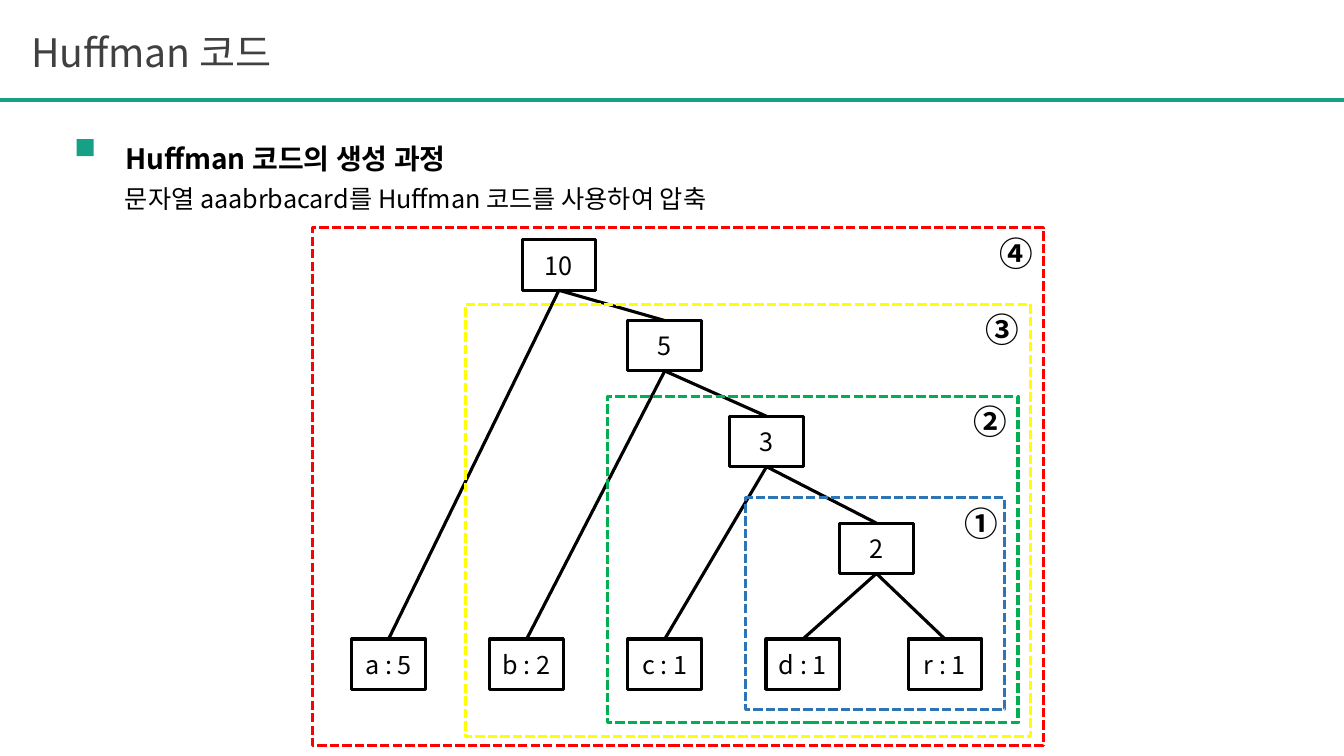
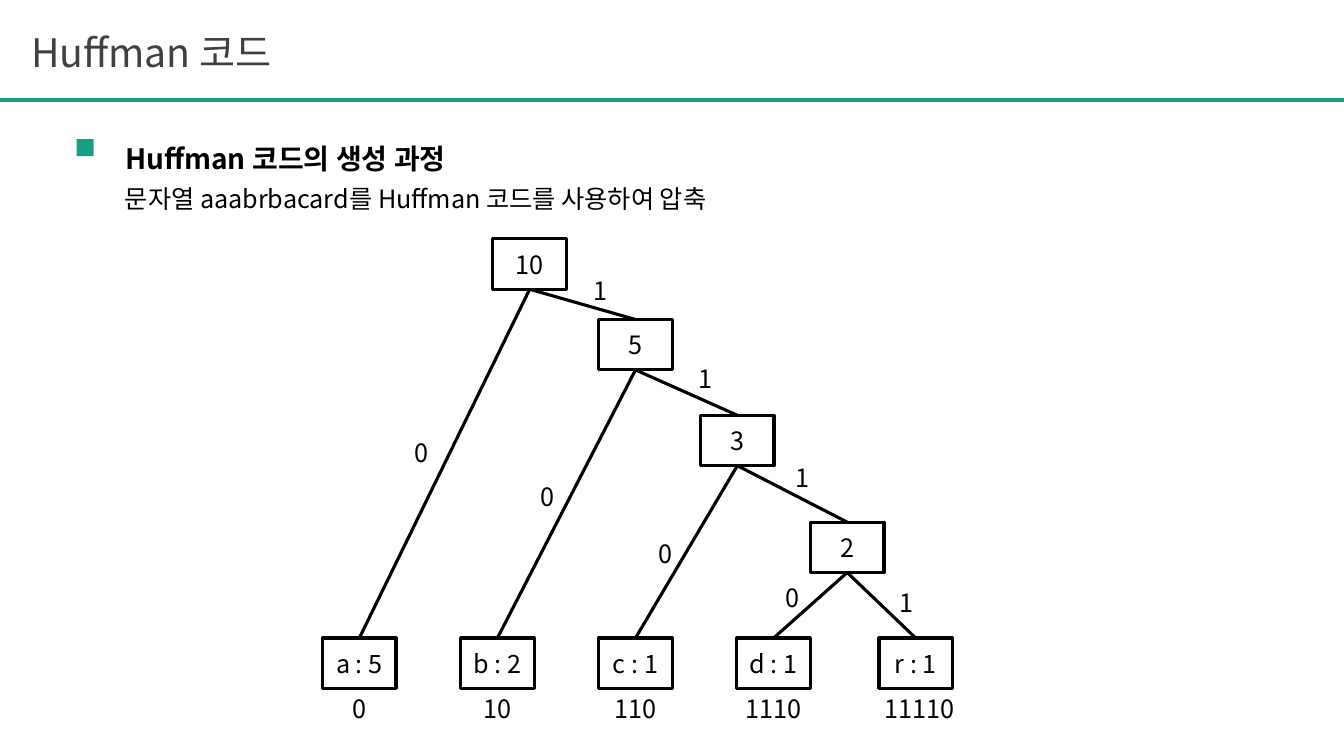
from dataclasses import dataclass
from typing import Optional

from lxml import etree
from pptx import Presentation
from pptx import util as u
from pptx.dml.color import RGBColor
from pptx.enum import dml, shapes, text
from pptx.oxml.ns import qn
from pptx.shapes.autoshape import Shape
from pptx.slide import Slide
from pptx.text.text import TextFrame

TEAL = RGBColor(0x16, 0xA0, 0x85)
GRAY = RGBColor(0x40, 0x40, 0x40)
BLACK = RGBColor(0, 0, 0)
BLUE = RGBColor(0x2E, 0x75, 0xB6)
GREEN = RGBColor(0, 0xB0, 0x50)
YELLOW = RGBColor(0xFF, 0xFF, 0)
RED = RGBColor(0xFF, 0, 0)

FONT = "Noto Sans CJK KR"
SLIDE_WIDTH, SLIDE_HEIGHT = 960, 540
RULE_TOP = 71.28
LINE_WIDTH = 2.25
NODE_WIDTH, NODE_HEIGHT = 52.56, 36
LEAF_LEFT, LEAF_STEP, LEAF_TOP = 230.4, 98.64, 455.76
LABEL_WIDTH, LABEL_HEIGHT = 24.48, 28.8
STEP_WIDTH, STEP_HEIGHT = 38.88, 36


@dataclass(frozen=True)
class Node:
    """A tree node, with the bit on the edge from its parent."""
    label: str
    left: float
    top: float = LEAF_TOP
    parent: str = ""
    bit: str = ""
    bit_left: float = 0
    bit_top: float = 0
    code: str = ""
    code_shift: float = 0

    @property
    def center(self) -> float:
        """Return the horizontal centre."""
        return self.left + NODE_WIDTH / 2


@dataclass(frozen=True)
class MergeFrame:
    """A dashed frame around the nodes merged in one step."""
    step: str
    color: RGBColor
    left: float
    top: float
    width: float
    height: float
    step_left: float


NODES = [
    Node("10", 352.08, 170.64),
    Node("5", 427.68, 228.24, "10", "1", 416.88, 192.96),
    Node("3", 500.4, 296.64, "5", "1", 491.76, 256.32),
    Node("2", 578.88, 372.96, "3", "1", 560.88, 326.88),
    Node("a : 5", LEAF_LEFT, LEAF_TOP, "10", "0", 288.72, 308.88, "0"),
    Node("b : 2", LEAF_LEFT + LEAF_STEP, LEAF_TOP, "5", "0", 378.72, 340.56, "10"),
    Node("c : 1", LEAF_LEFT + 2 * LEAF_STEP, LEAF_TOP, "3", "0", 462.96, 380.88, "110"),
    Node("d : 1", LEAF_LEFT + 3 * LEAF_STEP, LEAF_TOP, "2", "0", 553.68, 412.56, "1110"),
    Node("r : 1", 627.84, LEAF_TOP, "2", "1", 635.76, 416.16, "11110", 2.88),
]

MERGE_FRAMES = [
    MergeFrame("①", BLUE, 532.8, 355.68, 185.04, 151.2, 681.84),
    MergeFrame("②", GREEN, 434.16, 282.96, 293.04, 233.28, 688.32),
    MergeFrame("③", YELLOW, 332.64, 217.44, 403.2, 308.88, 696.96),
    MergeFrame("④", RED, 223.2, 162.72, 522, 370.08, 707.04),
]


def write(frame: TextFrame, content: str, *, size: float = 18,
          color: RGBColor = BLACK, bold: bool = False,
          align: text.PP_ALIGN = text.PP_ALIGN.LEFT,
          anchor: text.MSO_ANCHOR = text.MSO_ANCHOR.TOP,
          wrap: bool = True, grow: bool = True, spacing: float = 1) -> None:
    """Put one formatted paragraph into a text frame."""
    frame.word_wrap = wrap
    frame.vertical_anchor = anchor
    fit = text.MSO_AUTO_SIZE
    frame.auto_size = fit.SHAPE_TO_FIT_TEXT if grow else fit.NONE
    paragraph = frame.paragraphs[0]
    paragraph.alignment = align
    paragraph.line_spacing = spacing
    paragraph.space_before = u.Pt(0)
    run = paragraph.add_run()
    run.text = content
    font = run.font
    font.name, font.size, font.bold = FONT, u.Pt(size), bold
    font.color.rgb = color
    east_asian = etree.SubElement(run._r.get_or_add_rPr(), qn("a:ea"))
    east_asian.set("typeface", FONT)


def place(shape: Shape, left: float, top: float, width: float, height: float) -> None:
    """Move and size a shape, in points."""
    shape.left, shape.top = u.Pt(left), u.Pt(top)
    shape.width, shape.height = u.Pt(width), u.Pt(height)


def add_label(slide: Slide, content: str, left: float, top: float,
              width: float, height: float, **style) -> None:
    """Add a text box that does not wrap."""
    box = slide.shapes.add_textbox(u.Pt(left), u.Pt(top), u.Pt(width), u.Pt(height))
    write(box.text_frame, content, wrap=False, **style)


def add_rectangle(slide: Slide, left: float, top: float, width: float, height: float,
                  fill: Optional[RGBColor] = None, line: Optional[RGBColor] = None,
                  dashed: bool = False) -> Shape:
    """Add a rectangle with an optional fill and outline."""
    shape = slide.shapes.add_shape(shapes.MSO_SHAPE.RECTANGLE, u.Pt(left), u.Pt(top),
                                   u.Pt(width), u.Pt(height))
    shape.shadow.inherit = False
    if fill is None:
        shape.fill.background()
    else:
        shape.fill.solid()
        shape.fill.fore_color.rgb = fill
    if line is None:
        shape.line.fill.background()
    else:
        shape.line.color.rgb = line
        shape.line.width = u.Pt(LINE_WIDTH)
    if dashed:
        shape.line.dash_style = dml.MSO_LINE.SQUARE_DOT
    return shape


def add_line(slide: Slide, x1: float, y1: float, x2: float, y2: float,
             color: RGBColor = BLACK, width: float = LINE_WIDTH) -> None:
    """Add a straight line without a shadow."""
    line = slide.shapes.add_connector(shapes.MSO_CONNECTOR.STRAIGHT,
                                      u.Pt(x1), u.Pt(y1), u.Pt(x2), u.Pt(y2))
    line.line.color.rgb = color
    line.line.width = u.Pt(width)
    etree.SubElement(line._element.spPr, qn("a:effectLst"))


def add_base_slide(presentation: Presentation) -> Slide:
    """Add a slide with the shared title, rule and headings."""
    slide = presentation.slides.add_slide(presentation.slide_layouts[1])
    add_line(slide, 0, RULE_TOP, SLIDE_WIDTH, RULE_TOP, TEAL, 3)
    title = slide.shapes.title
    place(title, 15.12, 16.56, 730.8, 41.04)
    write(title.text_frame, "Huffman 코드", size=28, color=GRAY)

    heading = slide.placeholders[1]
    place(heading, 82.08, 73.44, 828.72, 47.52)
    write(heading.text_frame, "Huffman 코드의 생성 과정", size=20, bold=True,
          align=text.PP_ALIGN.JUSTIFY, spacing=2)
    properties = heading.text_frame.paragraphs[0]._p.get_or_add_pPr()
    properties.set("marL", "0")
    properties.set("indent", "0")
    etree.SubElement(properties, qn("a:buNone"))
    add_rectangle(slide, 54.72, 99.36, 12.24, 12.24, fill=TEAL)
    add_label(slide, "문자열 aaabrbacard를 Huffman 코드를 사용하여 압축",
              82.08, 127.44, 455.04, LABEL_HEIGHT)
    return slide


def draw_tree(slide: Slide, dx: float = 0, dy: float = 0) -> None:
    """Draw the nodes and edges, shifted by dx and dy."""
    by_label = {node.label: node for node in NODES}
    for node in NODES:
        box = add_rectangle(slide, node.left + dx, node.top + dy,
                            NODE_WIDTH, NODE_HEIGHT, line=BLACK)
        write(box.text_frame, node.label, align=text.PP_ALIGN.CENTER,
              anchor=text.MSO_ANCHOR.MIDDLE, grow=False)
        if node.parent:
            parent = by_label[node.parent]
            add_line(slide, parent.center + dx, parent.top + NODE_HEIGHT + dy,
                     node.center + dx, node.top + dy)


def draw_merge_frames(slide: Slide) -> None:
    """Draw the dashed frames and their step numbers."""
    for frame in MERGE_FRAMES:
        add_rectangle(slide, frame.left, frame.top, frame.width, frame.height,
                      line=frame.color, dashed=True)
        add_label(slide, frame.step, frame.step_left, frame.top,
                  STEP_WIDTH, STEP_HEIGHT, size=24, bold=True)


def draw_codes(slide: Slide) -> None:
    """Write the bits beside the edges and the codes under the leaves."""
    for node in NODES:
        if node.bit:
            add_label(slide, node.bit, node.bit_left, node.bit_top,
                      LABEL_WIDTH, LABEL_HEIGHT)
        if node.code:
            width = LABEL_WIDTH + 10 * (len(node.code) - 1)
            add_label(slide, node.code, node.center + node.code_shift - width / 2,
                      node.top + NODE_HEIGHT, width, LABEL_HEIGHT,
                      align=text.PP_ALIGN.CENTER)


def main() -> None:
    """Build and save the two slides."""
    presentation = Presentation()
    presentation.slide_width = u.Pt(SLIDE_WIDTH)
    presentation.slide_height = u.Pt(SLIDE_HEIGHT)

    merge_slide = add_base_slide(presentation)
    draw_tree(merge_slide, dx=20.88, dy=0.72)
    draw_merge_frames(merge_slide)

    code_slide = add_base_slide(presentation)
    draw_tree(code_slide)
    draw_codes(code_slide)

    presentation.save("out.pptx")


main()
